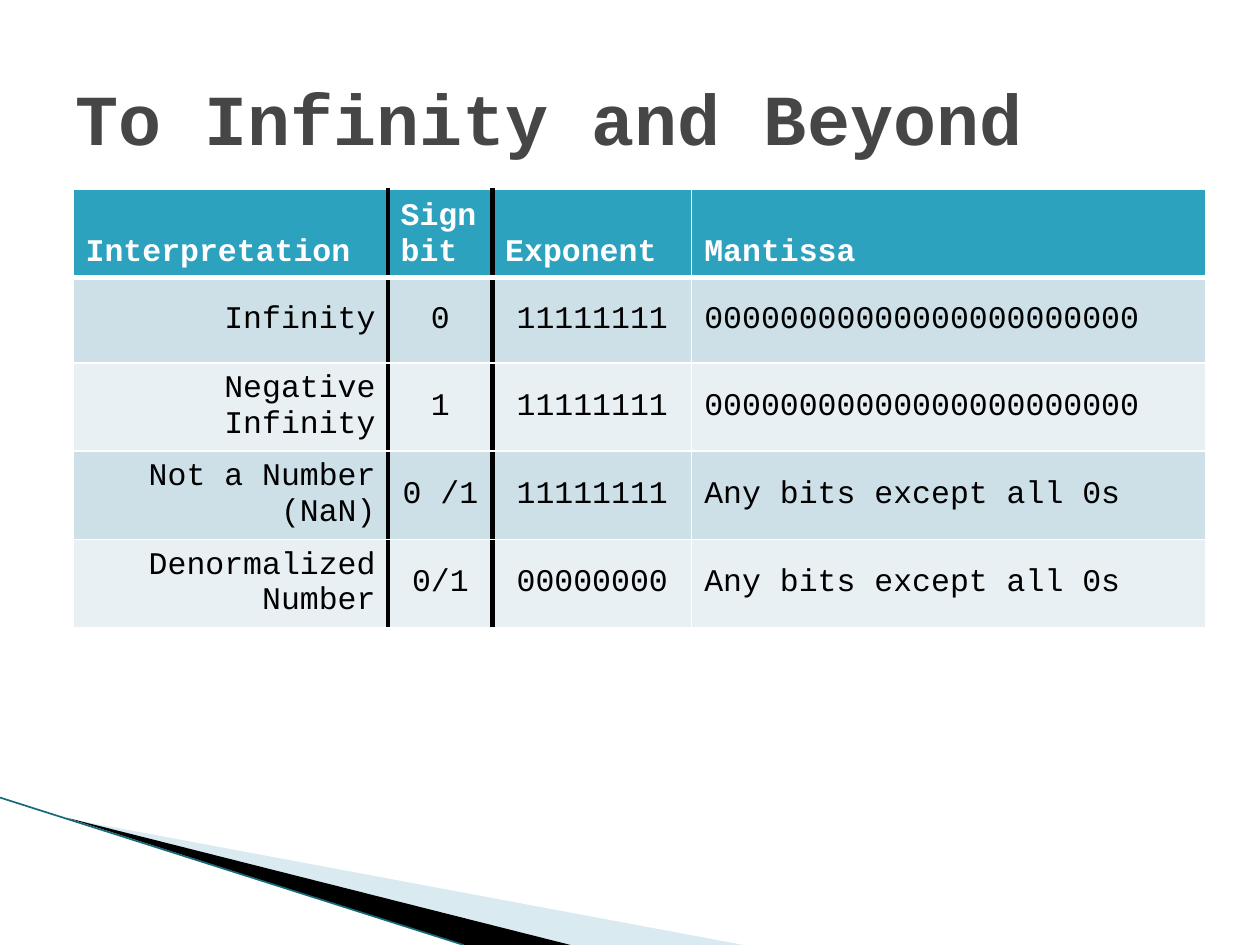
"""Builds the slide on special floating-point values."""
from lxml import etree
from pptx import Presentation
from pptx.dml.color import RGBColor
from pptx.enum.shapes import MSO_CONNECTOR
from pptx.enum.text import MSO_ANCHOR, PP_ALIGN
from pptx.oxml.ns import qn
from pptx.util import Inches, Pt

LEFT, CENTER, RIGHT = PP_ALIGN.LEFT, PP_ALIGN.CENTER, PP_ALIGN.RIGHT
MIDDLE, BOTTOM = MSO_ANCHOR.MIDDLE, MSO_ANCHOR.BOTTOM
STRAIGHT = MSO_CONNECTOR.STRAIGHT
WHITE, BLACK, TEAL, GRAY = "FFFFFF", "000000", "2DA2BF", "464646"
BANDS = ("CDE0E8", "E8F0F4")


def color(value):
    return RGBColor.from_string(value)


class SlideBuilder:
    def __init__(self, presentation, font):
        self.slide = presentation.slides.add_slide(presentation.slide_layouts[6])
        self.font = font

    def add_text(self, frame, text, size, ink, bold=False, align=LEFT):
        paragraph = frame.paragraphs[0]
        paragraph.alignment = align
        run = paragraph.add_run()
        run.text = text
        run.font.name = self.font
        run.font.size = Pt(size)
        run.font.bold = bold
        run.font.color.rgb = color(ink)

    def title(self, text, left, top, width, height):
        box = self.slide.shapes.add_textbox(
            Inches(left), Inches(top), Inches(width), Inches(height))
        frame = box.text_frame
        frame.word_wrap = True
        frame.vertical_anchor = MIDDLE
        self.add_text(frame, text, 41, GRAY, bold=True)

    def wedge(self, points, fill, opacity=100):
        corners = [(Inches(x), Inches(y)) for x, y in points]
        builder = self.slide.shapes.build_freeform(*corners[0])
        builder.add_line_segments(corners[1:])
        shape = builder.convert_to_shape()
        shape.shadow.inherit = False
        shape.line.fill.background()
        shape.fill.solid()
        shape.fill.fore_color.rgb = color(fill)
        if opacity < 100:
            tone = shape.element.spPr.find(".//" + qn("a:srgbClr"))
            etree.SubElement(tone, qn("a:alpha"), val=str(opacity * 1000))

    def line(self, start, end, ink, width):
        connector = self.slide.shapes.add_connector(
            STRAIGHT, *(Inches(length) for length in start + end))
        connector.line.color.rgb = color(ink)
        connector.line.width = Pt(width)
        etree.SubElement(connector.element.spPr, qn("a:effectLst"))

    def border(self, cell, side, ink, width):
        properties = cell._tc.get_or_add_tcPr()
        edge = etree.SubElement(properties, qn("a:ln" + side), w=str(Pt(width)))
        fill = etree.SubElement(edge, qn("a:solidFill"))
        etree.SubElement(fill, qn("a:srgbClr"), val=ink)

    def table(self, rows, left, top, widths, heights, aligns, heavy_edges):
        frame = self.slide.shapes.add_table(
            len(rows), len(widths), Inches(left), Inches(top),
            Inches(sum(widths)), Inches(sum(heights)))
        table = frame.table
        for column, width in zip(table.columns, widths):
            column.width = Inches(width)
        for row, height in zip(table.rows, heights):
            row.height = Inches(height)
        for r, texts in enumerate(rows):
            header = r == 0
            for c, text in enumerate(texts):
                cell = table.cell(r, c)
                for side, edge in (("L", c), ("R", c + 1)):
                    heavy = edge in heavy_edges
                    self.border(cell, side, BLACK if heavy else WHITE, 3 if heavy else 1)
                self.border(cell, "T", WHITE, 3 if r == 1 else 1)
                self.border(cell, "B", WHITE, 3 if header else 1)
                cell.fill.solid()
                cell.fill.fore_color.rgb = color(TEAL if header else BANDS[(r - 1) % 2])
                cell.vertical_anchor = BOTTOM if header else MIDDLE
                self.add_text(cell.text_frame, text, 18, WHITE if header else BLACK,
                              header, LEFT if header else aligns[c])


presentation = Presentation()
presentation.slide_width, presentation.slide_height = Inches(10), Inches(7.5)
builder = SlideBuilder(presentation, "Courier New")

builder.wedge([(0.55, 6.5), (5.9, 7.5), (4.53, 7.5)], "A0CBDC", 40)
builder.wedge([(0.53, 6.49), (4.53, 7.5), (3.68, 7.5)], BLACK)
builder.line((0, 6.33), (3.68, 7.5), "16697A", 0.95)
builder.title("To Infinity and Beyond", 0.5, 0.3, 9, 1.25)

ones, zeros, any_bits = "1" * 8, "0" * 23, "Any bits except all 0s"
builder.table(
    [
        ("Interpretation", "Sign bit", "Exponent ", "Mantissa"),
        ("Infinity", "0", ones, zeros),
        ("Negative Infinity", "1", ones, zeros),
        ("Not a Number (NaN)", "0 /1", ones, any_bits),
        ("Denormalized Number", "0/1", "0" * 8, any_bits),
    ],
    left=0.58, top=1.5, widths=(2.5, 0.83, 1.58, 4.08),
    heights=(0.5,) + (0.68,) * 4,
    aligns=(RIGHT, CENTER, CENTER, LEFT), heavy_edges=(1, 2))

presentation.save("out.pptx")
